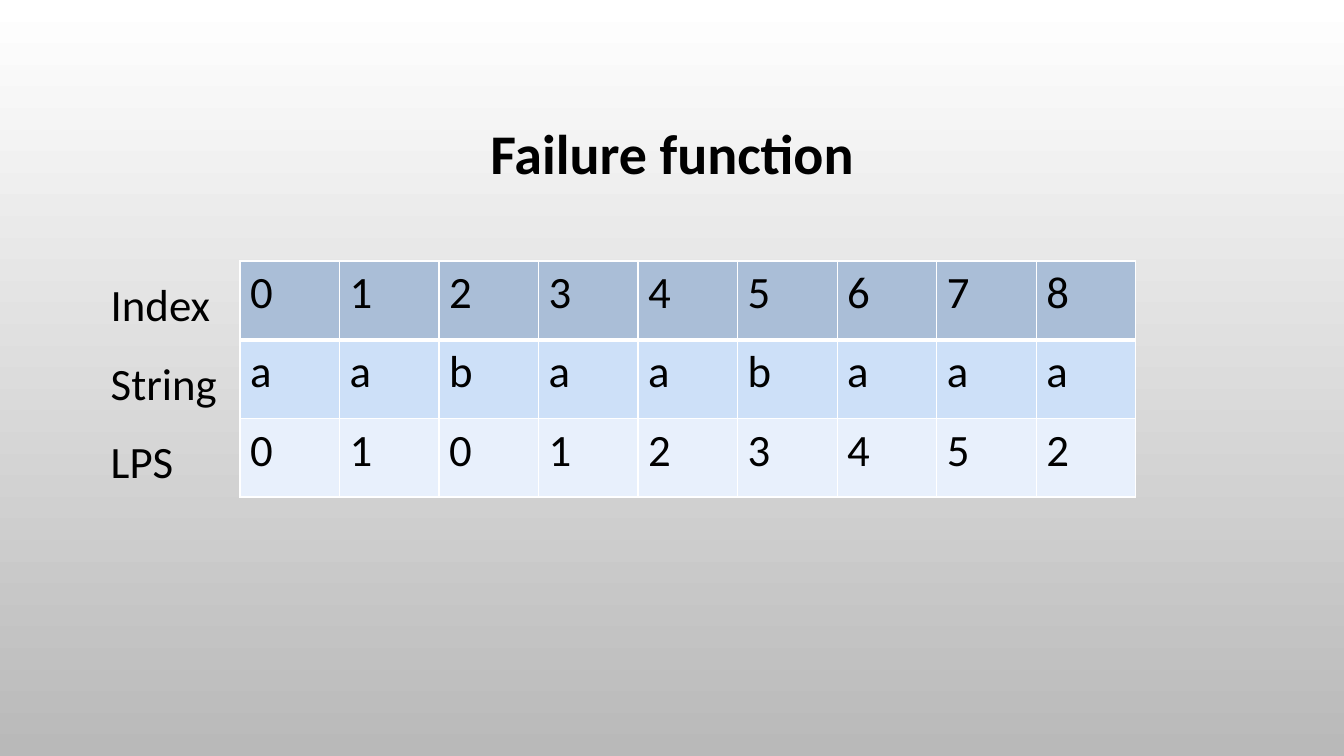
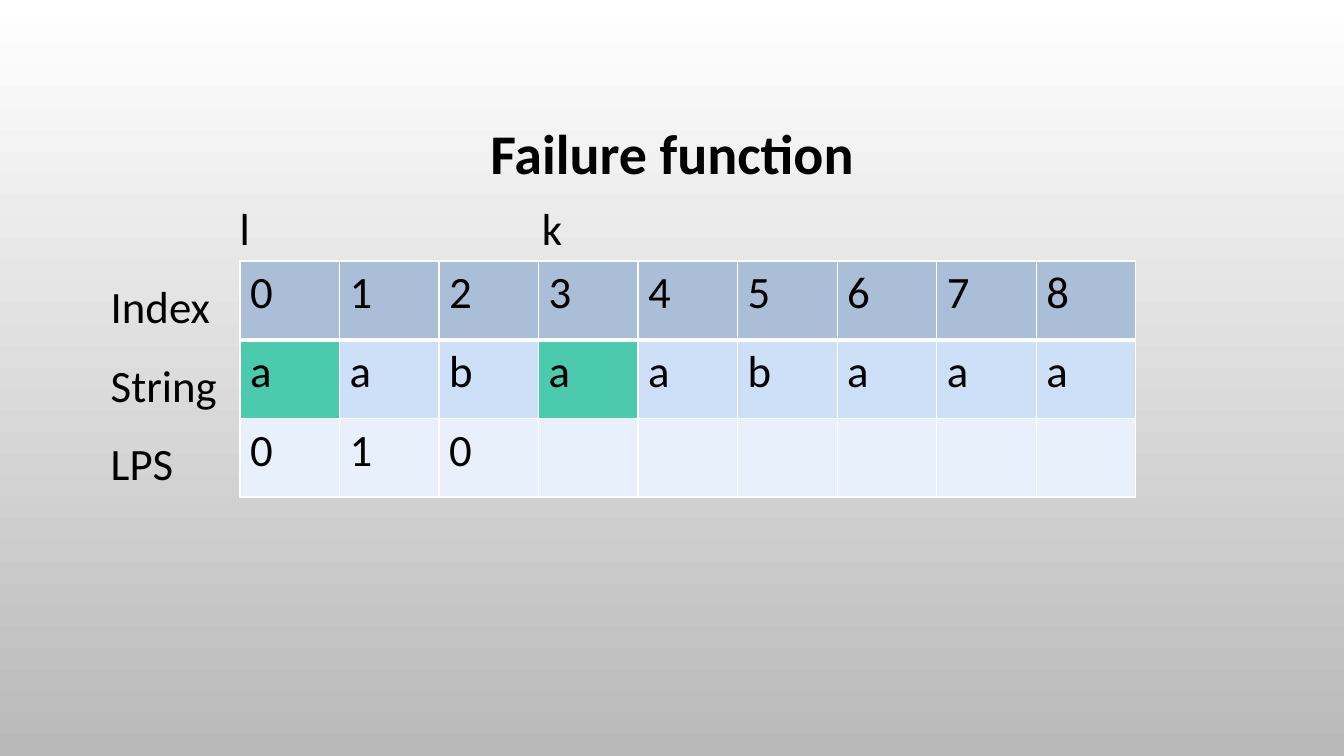
from dataclasses import dataclass

import pptx
import pptx.dml.color
import pptx.enum.text
import pptx.oxml
import pptx.oxml.ns
import pptx.slide
import pptx.table
import pptx.text.text
import pptx.util

Pt = pptx.util.Pt
HUES = {
    "text": "000000",
    "line": "FFFFFF",
    "top": "FFFFFF",
    "base": "B9B9B9",
    "head": "AABED7",
    "chars": "CDE0F8",
    "lps": "E8F0FC",
    "match": "4BCAAD",
}
FONT = "Calibri"
LEFT, WIDTH = 72, 816
GRID_X, GRID_Y = 171.4, 186.5
COL, ROW = 71.1, 56.2
CHARS = "aabaabaaa"
LABELS = ("Index", "String", "LPS")
STOPS = (92, 308)


@dataclass(frozen=True)
class Step:
    lps: str
    top: float
    height: float
    marks: tuple[str, ...] = ()
    hits: tuple[int, ...] = ()


STEPS = (
    Step("010123452", 186.5, 269),
    Step("010", 131.8, 360, ("l", "k"), (0, 3)),
)


def hue(name: str) -> pptx.dml.color.RGBColor:
    return pptx.dml.color.RGBColor.from_string(HUES[name])


def write(para: pptx.text.text._Paragraph, text: str, size: int = 32, bold: bool = False) -> None:
    run = para.add_run()
    run.text = text
    run.font.name = FONT
    run.font.size = Pt(size)
    run.font.bold = bold
    run.font.color.rgb = hue("text")


def add_box(slide: pptx.slide.Slide, top: float, height: float) -> pptx.text.text.TextFrame:
    frame = slide.shapes.add_textbox(Pt(LEFT), Pt(top), Pt(WIDTH), Pt(height)).text_frame
    frame.word_wrap = True
    return frame


def add_title(slide: pptx.slide.Slide, text: str) -> None:
    frame = add_box(slide, 49, 126)
    frame.vertical_anchor = pptx.enum.text.MSO_ANCHOR.MIDDLE
    para = frame.paragraphs[0]
    para.alignment = pptx.enum.text.PP_ALIGN.CENTER
    para.line_spacing = 0.9
    write(para, text, 40, True)


def set_tabs(para: pptx.text.text._Paragraph) -> None:
    stops = "".join(f'<a:tab pos="{Pt(stop)}" algn="l"/>' for stop in STOPS)
    para._p.get_or_add_pPr().append(
        pptx.oxml.parse_xml(f'<a:tabLst {pptx.oxml.ns.nsdecls("a")}>{stops}</a:tabLst>')
    )


def add_labels(slide: pptx.slide.Slide, step: Step) -> None:
    frame = add_box(slide, step.top, step.height)
    marks = "".join(f"\t{mark}" for mark in step.marks)
    lines = (marks, *LABELS) if marks else LABELS
    for i, line in enumerate(lines):
        para = frame.add_paragraph() if i else frame.paragraphs[0]
        if line == marks:
            set_tabs(para)
        para.line_spacing = 1.2
        if i:
            para.space_before = Pt(10)
        write(para, line)


def set_edges(cell: pptx.table._Cell, row: int) -> None:
    props = cell._tc.get_or_add_tcPr()
    widths = {"L": 1, "R": 1, "T": 3 if row == 1 else 1, "B": 3 if row == 0 else 1}
    for side, width in widths.items():
        props.append(pptx.oxml.parse_xml(
            f'<a:ln{side} {pptx.oxml.ns.nsdecls("a")} w="{Pt(width)}"><a:solidFill>'
            f'<a:srgbClr val="{HUES["line"]}"/></a:solidFill></a:ln{side}>'
        ))


def add_grid(slide: pptx.slide.Slide, step: Step) -> None:
    count = len(CHARS)
    index = "".join(str(i) for i in range(count))
    rows = (("head", index), ("chars", CHARS), ("lps", step.lps.ljust(count)))
    table = slide.shapes.add_table(
        len(rows), count, Pt(GRID_X), Pt(GRID_Y), Pt(COL * count), Pt(ROW * len(rows))
    ).table
    table.first_row = False
    table.horz_banding = False
    for r, (kind, texts) in enumerate(rows):
        for c, text in enumerate(texts):
            cell = table.cell(r, c)
            set_edges(cell, r)
            cell.fill.solid()
            match = kind == "chars" and c in step.hits
            cell.fill.fore_color.rgb = hue("match" if match else kind)
            if text.strip():
                write(cell.text_frame.paragraphs[0], text)


def set_back(master: pptx.slide.SlideMaster) -> None:
    fill = master.background.fill
    fill.gradient()
    fill.gradient_angle = 270
    for stop, name, place in zip(fill.gradient_stops, ("top", "base"), (0, 1)):
        stop.color.rgb = hue(name)
        stop.position = place


def main() -> None:
    deck = pptx.Presentation()
    deck.slide_width, deck.slide_height = Pt(960), Pt(540)
    set_back(deck.slide_master)
    for step in STEPS:
        slide = deck.slides.add_slide(deck.slide_layouts[6])
        add_title(slide, "Failure function")
        add_labels(slide, step)
        add_grid(slide, step)
    deck.save("out.pptx")


if __name__ == "__main__":
    main()
